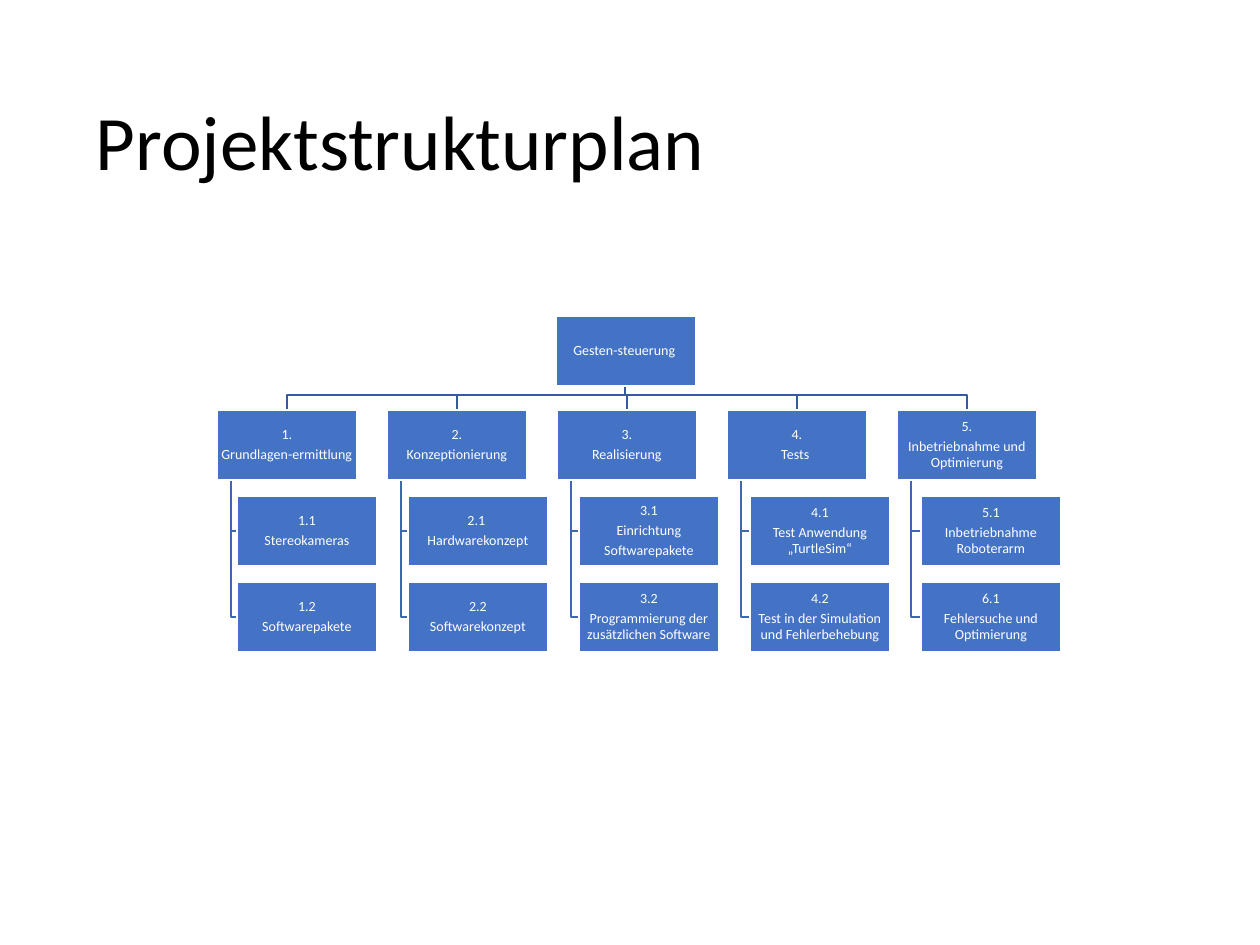
from pptx import Presentation, util as u
from pptx.dml.color import RGBColor
from pptx.enum import shapes, text

PX = 914400 // 126
BOX_W, BOX_H = 140, 70

deck = Presentation()
deck.slide_width, deck.slide_height = u.Inches(10), u.Inches(7.5)
slide = deck.slides.add_slide(deck.slide_layouts[6])


def rgb(value):
    return RGBColor.from_string(value)


def write(target, lines, size=8, color="FFFFFF", align=text.PP_ALIGN.CENTER,
          inset=1, after=2.8):
    frame = target.text_frame
    frame.word_wrap = True
    frame.vertical_anchor = text.MSO_ANCHOR.MIDDLE
    frame.margin_left = frame.margin_right = inset * PX
    frame.margin_top = frame.margin_bottom = inset * PX
    for number, line in enumerate(lines):
        paragraph = frame.add_paragraph() if number else frame.paragraphs[0]
        paragraph.alignment = align
        paragraph.line_spacing = 0.9
        paragraph.space_after = u.Pt(after)
        run = paragraph.add_run()
        run.text = line
        run.font.size = u.Pt(size)
        run.font.name = "Calibri"
        run.font.color.rgb = rgb(color)


# Title
title = slide.shapes.add_textbox(84 * PX, 66 * PX, 1142 * PX, 159 * PX)
write(title, ["Projektstrukturplan"], size=44, color="000000",
      align=text.PP_ALIGN.LEFT, inset=12, after=0)

# Work packages: each phase heads its column, its tasks follow
phases = [
    [["1.", "Grundlagen-ermittlung"],
     ["1.1", "Stereokameras"],
     ["1.2", "Softwarepakete"]],
    [["2.", "Konzeptionierung"],
     ["2.1 ", "Hardwarekonzept"],
     ["2.2", "Softwarekonzept"]],
    [["3.", "Realisierung"],
     ["3.1", "Einrichtung", "Softwarepakete"],
     ["3.2", "Programmierung der zusätzlichen Software"]],
    [["4.", "Tests "],
     ["4.1", "Test Anwendung „TurtleSim“"],
     ["4.2", "Test in der Simulation und Fehlerbehebung"]],
    [["5.", "Inbetriebnahme und Optimierung"],
     ["5.1", "Inbetriebnahme Roboterarm"],
     ["6.1", "Fehlersuche und Optimierung"]],
]

# Positions of the boxes and the bends of the lines
root_left, root_top = 556, 316
phase_top, row_pitch = 410, 86
root_middle = root_left + BOX_W // 2 - 1
root_bottom, bus_y = root_top + BOX_H + 1, 395
boxes = [(root_left, root_top, ["Gesten-steuerung "])]
branches = []
for column, packages in enumerate(phases):
    phase_left, task_left = 217 + 170 * column, 237 + 171 * column
    phase_middle, spine = phase_left + BOX_W // 2, phase_left + 14
    branches.append(("365B9D", [(root_middle, root_bottom), (root_middle, bus_y),
                                (phase_middle, bus_y), (phase_middle, phase_top)]))
    for row, lines in enumerate(packages):
        top = phase_top + row_pitch * row
        boxes.append((task_left if row else phase_left, top, lines))
        if row:
            middle = top + BOX_H // 2
            branches.append(("3E67B2", [(spine, phase_top + BOX_H), (spine, middle),
                                        (task_left, middle)]))

# Branch lines lie behind the boxes
for color, points in branches:
    outline = slide.shapes.build_freeform(*points[0], scale=PX)
    outline.add_line_segments(points[1:], close=False)
    branch = outline.convert_to_shape()
    branch.shadow.inherit = False
    branch.fill.background()
    branch.line.color.rgb = rgb(color)
    branch.line.width = u.Pt(1)

# Boxes
for left, top, lines in boxes:
    box = slide.shapes.add_shape(shapes.MSO_SHAPE.RECTANGLE, left * PX, top * PX,
                                 BOX_W * PX, BOX_H * PX)
    box.shadow.inherit = False
    box.fill.solid()
    box.fill.fore_color.rgb = rgb("4472C4")
    box.line.color.rgb = rgb("FFFFFF")
    box.line.width = u.Pt(1)
    write(box, lines)

deck.save("out.pptx")
